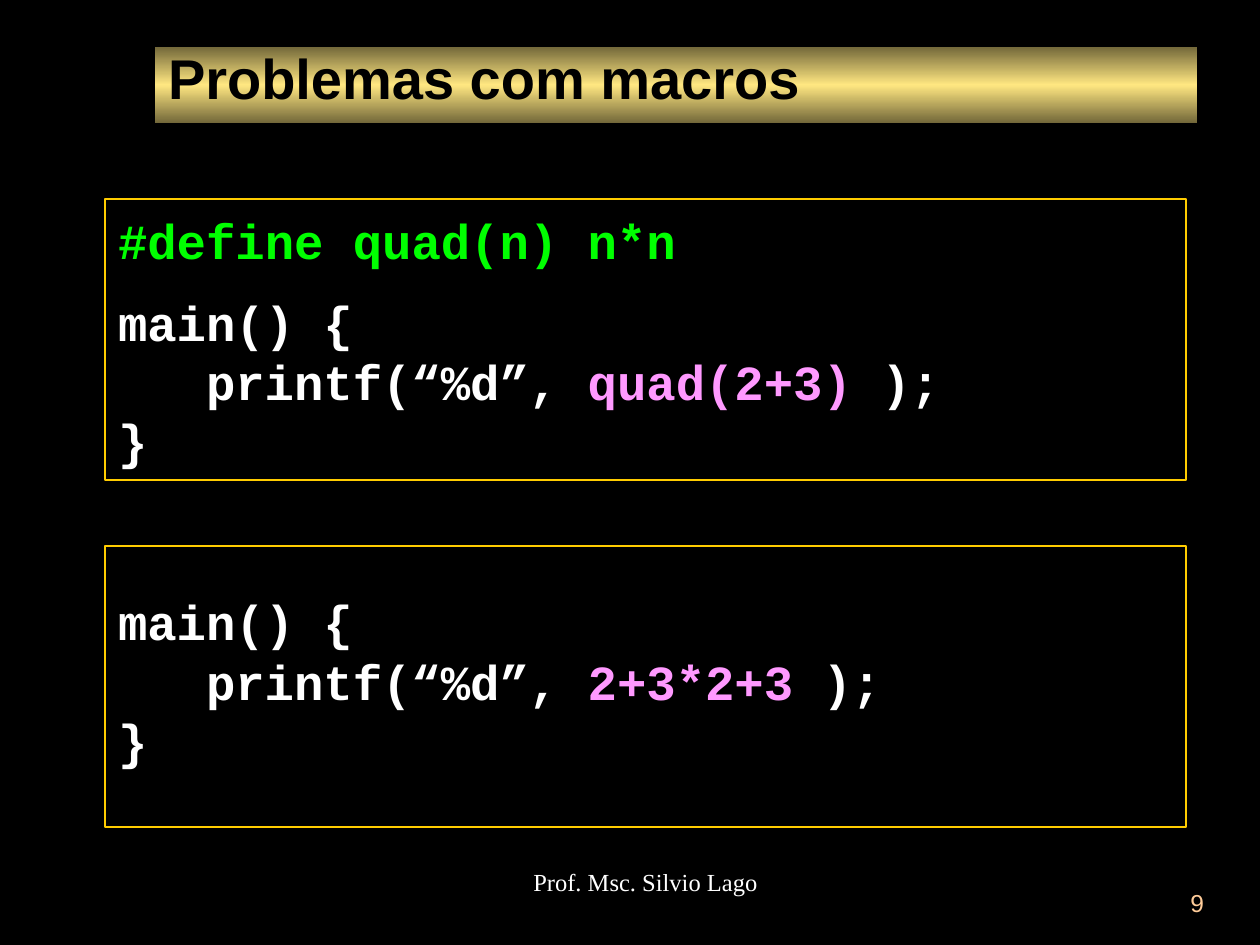
from pptx import Presentation, util as u
from pptx.dml.color import RGBColor
from pptx.enum import shapes, text

SCALE = 914400 // 126
WHITE, GREEN, PINK, GOLD = "FFFFFF", "00FF00", "FF99FF", "FFCC00"
CODE_INDENT = 88


def px(length):
    return u.Emu(length * SCALE)


def color(value):
    return RGBColor.from_string(value)


def format_run(run, font, size, value, bold=False):
    run.font.name = font
    run.font.size = u.Pt(size)
    run.font.bold = bold
    run.font.color.rgb = color(value)


def set_frame(shape, insets, anchor):
    frame = shape.text_frame
    frame.word_wrap = True
    frame.vertical_anchor = anchor
    frame.margin_left, frame.margin_top, frame.margin_right, frame.margin_bottom = map(px, insets)
    return frame


def add_rectangle(slide, box):
    shape = slide.shapes.add_shape(shapes.MSO_SHAPE.RECTANGLE, *map(px, box))
    shape.shadow.inherit = False
    return shape


def add_title(slide, box, title):
    bar = add_rectangle(slide, box)
    bar.line.fill.background()
    bar.fill.gradient()
    bar.fill.gradient_angle = 90
    stops = bar.fill._fill._gradFill.gsLst
    middle = stops.add_gs() if hasattr(stops, "add_gs") else stops._add_gs()
    stops.remove(middle)
    add_stops(bar, ("73683A", "FFE781", "73683A"))
    frame = set_frame(bar, (13, 0, 13, 16), text.MSO_ANCHOR.MIDDLE)
    frame.text = title
    frame.paragraphs[0].alignment = text.PP_ALIGN.LEFT
    format_run(frame.paragraphs[0].runs[0], "Arial", 32, "000000", True)


def add_stops(shape, values):
    from copy import deepcopy
    first = shape.fill.gradient_stops[0]
    first.color.rgb = color(values[0])
    stop_list = first._gs.getparent()
    template = deepcopy(first._gs)
    for stop in list(stop_list):
        stop_list.remove(stop)
    for value in values:
        stop_list.append(deepcopy(template))
    for index, (stop, value) in enumerate(zip(shape.fill.gradient_stops, values)):
        stop.color.rgb = color(value)
        stop.position = index / (len(values) - 1)


def add_code(slide, box, lines):
    panel = add_rectangle(slide, box)
    panel.fill.background()
    panel.line.color.rgb = color(GOLD)
    panel.line.width = u.Pt(1.5)
    frame = set_frame(panel, (13, 1, 13, 6), text.MSO_ANCHOR.MIDDLE)
    for index, (indent, spacing, before, parts) in enumerate(lines):
        paragraph = frame.paragraphs[0] if index == 0 else frame.add_paragraph()
        paragraph.alignment = text.PP_ALIGN.LEFT
        paragraph.line_spacing = spacing
        paragraph.space_before = u.Pt(before)
        paragraph._p.get_or_add_pPr().set("marL", str(px(indent)))
        for content, value in parts:
            run = paragraph.add_run()
            run.text = content
            format_run(run, "Courier New", 28, value, True)


def main_lines(argument, spacing=1.0, before=0):
    return [
        (0, spacing, before, [("main() {", WHITE)]),
        (CODE_INDENT, 1.0, 0, [("printf(“%d”, ", WHITE), (argument, PINK), (" );", WHITE)]),
        (0, 1.0, 0, [("}", WHITE)]),
    ]


def add_label(slide, box, content, font, value, alignment):
    label = slide.shapes.add_textbox(*map(px, box))
    frame = set_frame(label, (13, 6, 13, 6), text.MSO_ANCHOR.TOP)
    frame.text = content
    frame.paragraphs[0].alignment = alignment
    format_run(frame.paragraphs[0].runs[0], font, 14, value)


def main():
    presentation = Presentation()
    presentation.slide_width, presentation.slide_height = px(1260), px(945)
    slide = presentation.slides.add_slide(presentation.slide_layouts[6])
    slide.background.fill.solid()
    slide.background.fill.fore_color.rgb = color("000000")
    add_title(slide, (155, 47, 1042, 76), "Problemas com macros")
    define = (0, 1.1, 0, [("#define quad(n) n*n", GREEN)])
    add_code(slide, (105, 199, 1081, 281), [define] + main_lines("quad(2+3)", before=13))
    add_code(slide, (105, 546, 1081, 281), main_lines("2+3*2+3", spacing=0.9))
    add_label(slide, (446, 861, 399, 63), "Prof. Msc. Silvio Lago",
              "Times New Roman", WHITE, text.PP_ALIGN.CENTER)
    add_label(slide, (955, 882, 262, 63), "9", "Arial", "FFCC99", text.PP_ALIGN.RIGHT)


    presentation.save("out.pptx")


if __name__ == "__main__":
    main()
